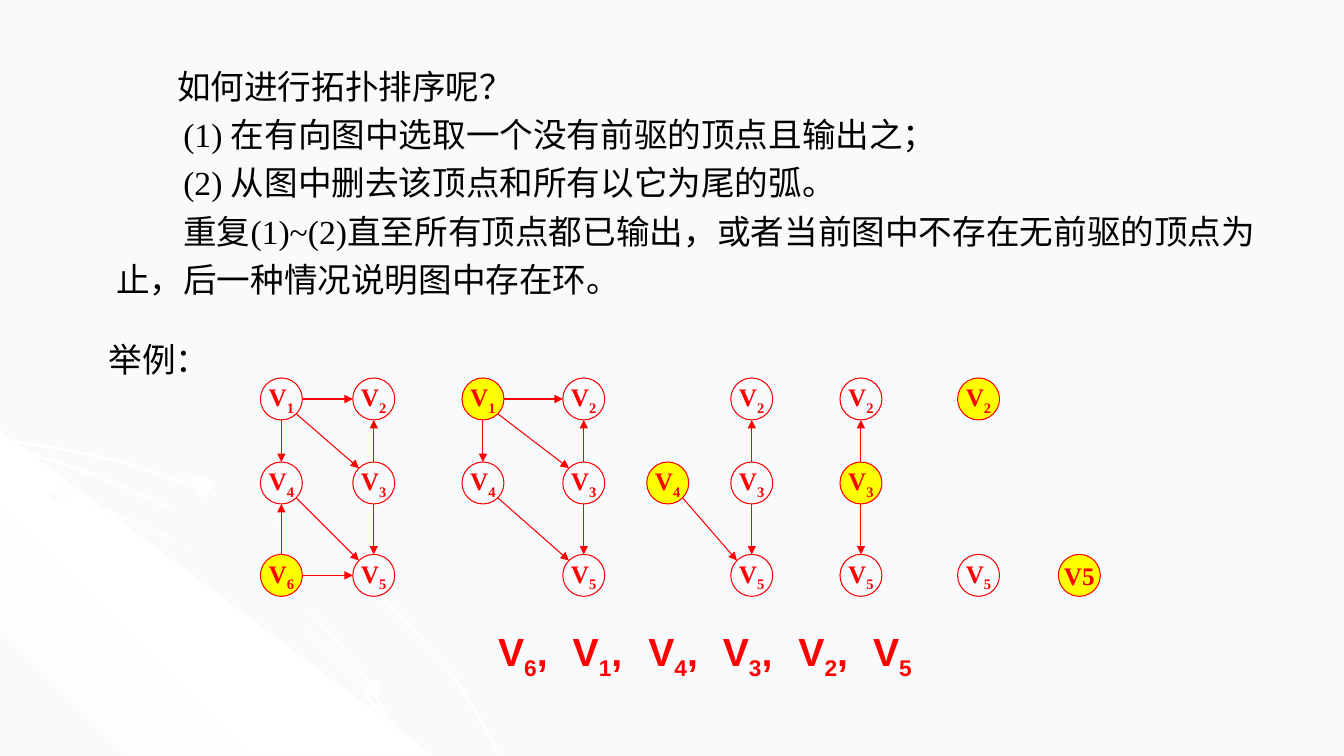
"""Build a slide that explains topological sorting with a worked example."""
from dataclasses import dataclass
from math import hypot

from lxml import etree
from pptx import Presentation
from pptx.dml.color import RGBColor
from pptx.enum.shapes import MSO_CONNECTOR, MSO_SHAPE
from pptx.enum.text import MSO_ANCHOR, MSO_AUTO_SIZE, PP_ALIGN
from pptx.oxml.ns import qn
from pptx.shapes.base import BaseShape
from pptx.slide import Slide
from pptx.text.text import TextFrame
from pptx.util import Pt

PX = 9525
OVAL = MSO_SHAPE.OVAL
STRAIGHT = MSO_CONNECTOR.STRAIGHT
MIDDLE, TOP = MSO_ANCHOR.MIDDLE, MSO_ANCHOR.TOP
CENTER, LEFT, JUSTIFY = PP_ALIGN.CENTER, PP_ALIGN.LEFT, PP_ALIGN.JUSTIFY
FIT_SHAPE, NO_FIT = MSO_AUTO_SIZE.SHAPE_TO_FIT_TEXT, MSO_AUTO_SIZE.NONE

Point = tuple[int, int]


@dataclass(frozen=True)
class Theme:
    """Colours, fonts and type sizes of the slide."""
    paper: str = "F9FAFB"
    white: str = "FFFFFF"
    ink: str = "000000"
    accent: str = "FF0000"
    chosen: str = "FFFF00"
    serif: str = "Times New Roman"
    sans: str = "Arial"
    body_size: int = 24
    node_size: int = 18
    result_size: int = 28
    line_width: float = 0.75


@dataclass(frozen=True)
class Stage:
    """One state of the graph: column positions, vertices left and the vertex put out."""
    left: int
    right: int
    vertices: str
    output: str
    subscript: bool = True


THEME = Theme()
WIDTH, HEIGHT = 1280, 720
NODE = 40
ROWS = {"1": 360, "2": 360, "4": 440, "3": 440, "6": 528, "5": 528}
LEFT_VERTICES = "146"
ARCS = ("12", "14", "13", "45", "32", "64", "65", "35")
STAGES = (
    Stage(248, 336, "124365", "6"),
    Stage(440, 536, "12435", "1"),
    Stage(616, 696, "2435", "4"),
    Stage(800, 800, "235", "3"),
    Stage(912, 912, "25", "2"),
    Stage(1008, 1008, "5", "5", subscript=False),
)
STEPS = (
    ("如何进行拓扑排序呢？", 58),
    ("(1) 在有向图中选取一个没有前驱的顶点且输出之；", 64),
    ("(2) 从图中删去该顶点和所有以它为尾的弧。", 64),
    ("重复(1)~(2)直至所有顶点都已输出，或者当前图中不存在无前驱的顶点为止，后一种情况说明图中存在环。", 64),
)
OUTER_CURVE = ((0, 418), (36, 423), (73, 429), (126, 441), (175, 458), (223, 477), (268, 500),
               (309, 526), (348, 555), (384, 587), (416, 622), (435, 646), (450, 670), (464, 694), (476, 719))
INNER_CURVES = (
    ((0, 456), (52, 468), (101, 485), (150, 505), (195, 527), (236, 553), (275, 582), (310, 614),
     (341, 649), (367, 684), (378, 701), (388, 719)),
    ((0, 424), (49, 437), (97, 454), (143, 473), (183, 495), (224, 521), (261, 550), (294, 579),
     (325, 613), (344, 638), (361, 665), (375, 691), (388, 719)),
)
CORNER = ((412, 719), (0, 719), (0, 410))
DOTS = ((46, 464, 19, 14, 315), (342, 647, 20, 15, 45), (176, 454, 27, 20, 315))


def px(*lengths: float) -> list[int]:
    """Turn px lengths into EMU."""
    return [round(length * PX) for length in lengths]


def fill_gradient(shape: BaseShape, colors: tuple[str, ...], angle: int) -> None:
    """Give a shape an evenly spaced linear gradient and no outline."""
    shape.shadow.inherit = False
    shape.line.fill.background()
    gradient = etree.Element(qn("a:gradFill"), rotWithShape="1")
    stops = etree.SubElement(gradient, qn("a:gsLst"))
    for index, color in enumerate(colors):
        stop = etree.SubElement(stops, qn("a:gs"), pos=str(100000 * index // (len(colors) - 1)))
        etree.SubElement(stop, qn("a:srgbClr"), val=color)
    etree.SubElement(gradient, qn("a:lin"), ang=str(angle * 60000), scaled="0")
    shape._element.spPr.insert(2, gradient)


def add_outline(slide: Slide, points: tuple[Point, ...], colors: tuple[str, ...], angle: int) -> None:
    """Draw a closed outline with a gradient."""
    builder = slide.shapes.build_freeform(*points[0], scale=PX)
    builder.add_line_segments(points[1:], close=True)
    fill_gradient(builder.convert_to_shape(), colors, angle)


def add_curve(slide: Slide, edge: tuple[Point, ...]) -> None:
    """Draw a thin band along an edge."""
    inner = tuple((max(0, x - 2), min(HEIGHT - 1, y + 2)) for x, y in reversed(edge))
    add_outline(slide, edge + inner, (THEME.white, THEME.paper, THEME.white), 45)


def add_decoration(slide: Slide) -> None:
    """Draw the pale corner, curves and dots."""
    add_curve(slide, OUTER_CURVE)
    add_outline(slide, CORNER, (THEME.paper, THEME.white, THEME.paper), 315)
    for edge in INNER_CURVES:
        add_curve(slide, edge)
    for *box, angle in DOTS:
        fill_gradient(slide.shapes.add_shape(OVAL, *px(*box)), (THEME.paper, THEME.white), angle)


def write_vertex(frame: TextFrame, parts: tuple[str, ...], font: str, size: int, align: PP_ALIGN) -> None:
    """Write a bold label whose second part is a subscript."""
    frame.word_wrap = False
    paragraph = frame.paragraphs[0]
    paragraph.alignment = align
    for index, part in enumerate(parts):
        run = paragraph.add_run()
        run.text = part
        run.font.name, run.font.size, run.font.bold = font, Pt(size), True
        run.font.color.rgb = RGBColor.from_string(THEME.accent)
        if index == 1:
            run.font._element.set("baseline", "-25000")


def add_node(slide: Slide, stage: Stage, vertex: str) -> Point:
    """Draw a vertex and return its centre."""
    left = stage.left if vertex in LEFT_VERTICES else stage.right
    node = slide.shapes.add_shape(OVAL, *px(left, ROWS[vertex], NODE, NODE))
    node.shadow.inherit = False
    if vertex == stage.output:
        node.fill.solid()
        node.fill.fore_color.rgb = RGBColor.from_string(THEME.chosen)
    else:
        node.fill.background()
    node.line.color.rgb = RGBColor.from_string(THEME.accent)
    node.line.width = Pt(THEME.line_width)
    node.text_frame.vertical_anchor = MIDDLE
    parts = ("V", vertex) if stage.subscript else ("V" + vertex,)
    write_vertex(node.text_frame, parts, THEME.serif, THEME.node_size, CENTER)
    return left + NODE // 2, ROWS[vertex] + NODE // 2


def add_arc(slide: Slide, start: Point, end: Point) -> None:
    """Draw an arrow between the rims of two vertices, leaving at a multiple of 45 degrees."""
    across, down = ((b > a) - (b < a) for a, b in zip(start, end))
    reach = NODE / 2 / hypot(across, down)
    shift_x, shift_y = across * reach, down * reach
    ends = px(start[0] + shift_x, start[1] + shift_y, end[0] - shift_x, end[1] - shift_y)
    arrow = slide.shapes.add_connector(STRAIGHT, *ends)
    arrow.line.color.rgb = RGBColor.from_string(THEME.accent)
    arrow.line.width = Pt(THEME.line_width)
    etree.SubElement(arrow.line._get_or_add_ln(), qn("a:tailEnd"), type="triangle")
    etree.SubElement(arrow._element.spPr, qn("a:effectLst"))


def add_stage(slide: Slide, stage: Stage) -> None:
    """Draw the vertices of a stage and the arcs left between them."""
    centers = {vertex: add_node(slide, stage, vertex) for vertex in stage.vertices}
    for tail, head in ARCS:
        if tail in centers and head in centers:
            add_arc(slide, centers[tail], centers[head])


def add_steps(slide: Slide) -> None:
    """Write the steps into the body placeholder."""
    title, body = slide.placeholders
    title._element.getparent().remove(title._element)
    body.left, body.top, body.width, body.height = px(101, 50, 1104, 242)
    frame = body.text_frame
    frame.text = "\n".join(text for text, _ in STEPS)
    frame.auto_size, frame.vertical_anchor, frame.word_wrap = NO_FIT, TOP, True
    for paragraph, (_, indent) in zip(frame.paragraphs, STEPS):
        properties = paragraph._element.get_or_add_pPr()
        properties.set("marL", "0")
        properties.set("indent", str(indent * PX))
        etree.SubElement(properties, qn("a:buNone"))
        paragraph.alignment, paragraph.line_spacing, paragraph.space_before = JUSTIFY, 1.2, Pt(0)
        font = paragraph.runs[0].font
        font.name, font.size = THEME.serif, Pt(THEME.body_size)
        font.color.rgb = RGBColor.from_string(THEME.ink)


def add_example_label(slide: Slide) -> None:
    """Write the label above the example."""
    frame = slide.shapes.add_textbox(*px(94, 318, 115, 48)).text_frame
    frame.text = "举例："
    frame.word_wrap, frame.auto_size = False, FIT_SHAPE
    font = frame.paragraphs[0].runs[0].font
    font.name, font.size = THEME.serif, Pt(THEME.body_size)
    font.color.rgb = RGBColor.from_string(THEME.ink)


def add_result(slide: Slide) -> None:
    """Write the vertices in the order they are put out."""
    for index, stage in enumerate(STAGES):
        last = stage is STAGES[-1]
        box = slide.shapes.add_textbox(*px(465 + round(71.4 * index), 593, 58 if last else 79, 55))
        box.text_frame.auto_size = FIT_SHAPE
        parts = ("V", stage.output) if last else ("V", stage.output, ",")
        write_vertex(box.text_frame, parts, THEME.sans, THEME.result_size, LEFT)


def main() -> None:
    """Build and save the presentation."""
    presentation = Presentation()
    presentation.slide_width, presentation.slide_height = px(WIDTH, HEIGHT)
    slide = presentation.slides.add_slide(presentation.slide_layouts[1])
    slide.background.fill.solid()
    slide.background.fill.fore_color.rgb = RGBColor.from_string(THEME.paper)
    add_decoration(slide)
    add_steps(slide)
    add_example_label(slide)
    for stage in STAGES:
        add_stage(slide, stage)
    add_result(slide)
    presentation.save("out.pptx")


if __name__ == "__main__":
    main()
